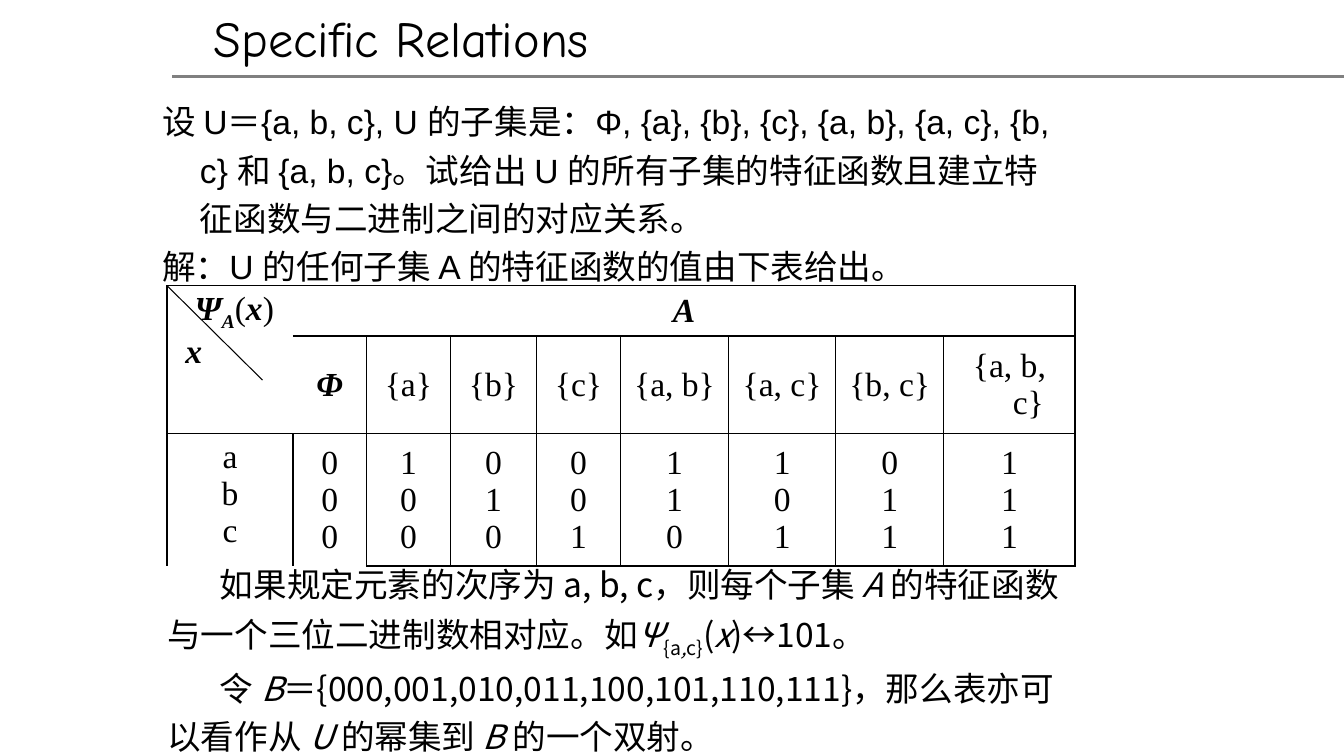
import pptx
import pptx.dml.color
import pptx.enum.shapes
import pptx.enum.text
import pptx.oxml
import pptx.oxml.ns
import pptx.util

PX = 9525
SANS, SERIF, CJK = "Arial", "Times New Roman", "Noto Sans CJK SC"
BLACK, GREY = "000000", "808080"
ALIGN = pptx.enum.text.PP_ALIGN
ANCHOR = pptx.enum.text.MSO_ANCHOR
HANG = (36, -36)


def px(n):
    return pptx.util.Emu(n * PX)


def rgb(code):
    return pptx.dml.color.RGBColor.from_string(code)


def node(parent, tag, **attrs):
    item = pptx.oxml.ns.qn(tag)
    child = parent.makeelement(item, attrs)
    parent.append(child)
    return child


def write(para, runs, face, size=24, color=BLACK, indent=(0, 0), space=None, align=None):
    """Fill a paragraph with (text, marks) runs; marks: b bold, i italic, s subscript."""
    props = para._p.get_or_add_pPr()
    for name, value in zip(("marL", "indent"), indent):
        props.set(name, str(value * PX))
    para.line_spacing = space
    para.alignment = align
    for text, marks in runs:
        run = para.add_run()
        run.text = text
        font = run.font
        font.name = face
        font.size = pptx.util.Pt(size)
        font.bold = "b" in marks
        font.italic = "i" in marks
        font.color.rgb = rgb(color)
        mark = run._r.get_or_add_rPr()
        if "s" in marks:
            mark.set("baseline", "-25000")
        node(mark, "a:ea", typeface=CJK)


def fill(frame, paras, *args, **form):
    for i, runs in enumerate(paras):
        para = frame.add_paragraph() if i else frame.paragraphs[0]
        write(para, runs, *args, **form)


def label(slide, box, paras, *args, **form):
    frame = slide.shapes.add_textbox(*map(px, box)).text_frame
    frame.word_wrap = True
    frame.auto_size = pptx.enum.text.MSO_AUTO_SIZE.SHAPE_TO_FIT_TEXT
    fill(frame, paras, *args, **form)


def rule(slide, ends, color, width):
    kind = pptx.enum.shapes.MSO_CONNECTOR.STRAIGHT
    line = slide.shapes.add_connector(kind, *map(px, ends))
    line.line.color.rgb = rgb(color)
    line.line.width = pptx.util.Pt(width)
    node(line._element.spPr, "a:effectLst")


def header(slide, box):
    x, y, w, h = box
    rule(slide, (x + 164, y + h, x + w, y + h), GREY, 2)
    label(slide, (x + 179, y + 2, 605, 68), [[("Specific Relations", "")]],
          "Comic Neue", 36, indent=(15, 0))


def border(cell, row, col):
    """Rule a cell, leaving open the corner's right side and the lower left end."""
    shown = {
        "L": col == 0 or row == 2 or (row == 1 and col > 1),
        "R": col > 0 or row == 2,
        "T": True,
        "B": row < 2 or col > 1,
    }
    props = cell._tc.get_or_add_tcPr()
    for side, drawn in shown.items():
        line = node(props, "a:ln" + side, w="12700" if drawn else "0")
        if drawn:
            node(node(line, "a:solidFill"), "a:srgbClr", val=BLACK)
        else:
            node(line, "a:noFill")
    cell.fill.background()


def grid(slide, box):
    x, y, w, h = box
    widths = (120, 70, 80, 82, 80, 103, 102, 103, 125)
    heights = (48, 93, 126)
    sets = ("Φ", "{a}", "{b}", "{c}", "{a, b}", "{a, c}", "{b, c}", "{a, b, c}")
    bits = ("000", "100", "010", "001", "110", "101", "011", "111")
    table = slide.shapes.add_table(3, 9, *map(px, box)).table
    table.first_row = table.horz_banding = False
    for part, width in zip(table.columns, widths):
        part.width = px(width)
    for part, height in zip(table.rows, heights):
        part.height = px(height)
    for row in range(3):
        for col in range(9):
            border(table.cell(row, col), row, col)
    table.cell(0, 0).merge(table.cell(1, 0))
    table.cell(0, 1).merge(table.cell(0, 8))

    corner = table.cell(0, 0).text_frame
    write(corner.paragraphs[0],
          [("Ψ", "bi"), ("A", "bis"), ("(", ""), ("x", "bi"), (")", "")],
          SERIF, indent=(17, 0))
    write(corner.add_paragraph(), [("x", "bi")], SERIF, indent=(8, 0))

    def put(row, col, lines, marks="", anchor=ANCHOR.MIDDLE):
        cell = table.cell(row, col)
        cell.vertical_anchor = anchor
        fill(cell.text_frame, [[(line, marks)] for line in lines], SERIF,
             indent=HANG, align=ALIGN.CENTER)

    put(0, 1, ["A"], "bi")
    put(2, 0, "abc", anchor=ANCHOR.TOP)
    for col, (name, code) in enumerate(zip(sets, bits), 1):
        put(1, col, [name], "bi" if col == 1 else "")
        put(2, col, code)
    rule(slide, (x, y, x + 91, y + 90), BLACK, 0.75)


def task(slide, box):
    label(slide, box, [
        [("设 U＝{a, b, c}, U 的子集是：Φ, {a}, {b}, {c}, {a, b}, {a, c}, {b, c} 和 {a, b, c}。"
          "试给出 U 的所有子集的特征函数且建立特征函数与二进制之间的对应关系。", "")],
        [("解：U 的任何子集 A 的特征函数的值由下表给出。", "")],
    ], SANS, indent=HANG, space=1.2)


def result(slide, box):
    label(slide, box, [
        [("如果规定元素的次序为 a, b, c，则每个子集 ", ""), ("A ", "i"),
         ("的特征函数与一个三位二进制数相对应。如", ""), ("Ψ", "i"), ("{a", "s"),
         (",", "is"), ("c}", "s"), ("(", ""), ("x", "i"), (")↔101。", "")],
        [("令 ", ""), ("B", "i"),
         ("＝{000,001,010,011,100,101,110,111}，那么表亦可以看作从 ", ""),
         ("U ", "i"), ("的幂集到 ", ""), ("B ", "i"), ("的一个双射。", "")],
    ], CJK, indent=(0, 50), space=1.2)


def main():
    deck = pptx.Presentation()
    deck.slide_width, deck.slide_height = px(1280), px(720)
    slide = deck.slides.add_slide(deck.slide_layouts[6])
    header(slide, (0, 0, 1280, 73))
    grid(slide, (159, 272, 865, 267))
    task(slide, (145, 84, 884, 193))
    result(slide, (150, 525, 876, 193))
    deck.save("out.pptx")


if __name__ == "__main__":
    main()
